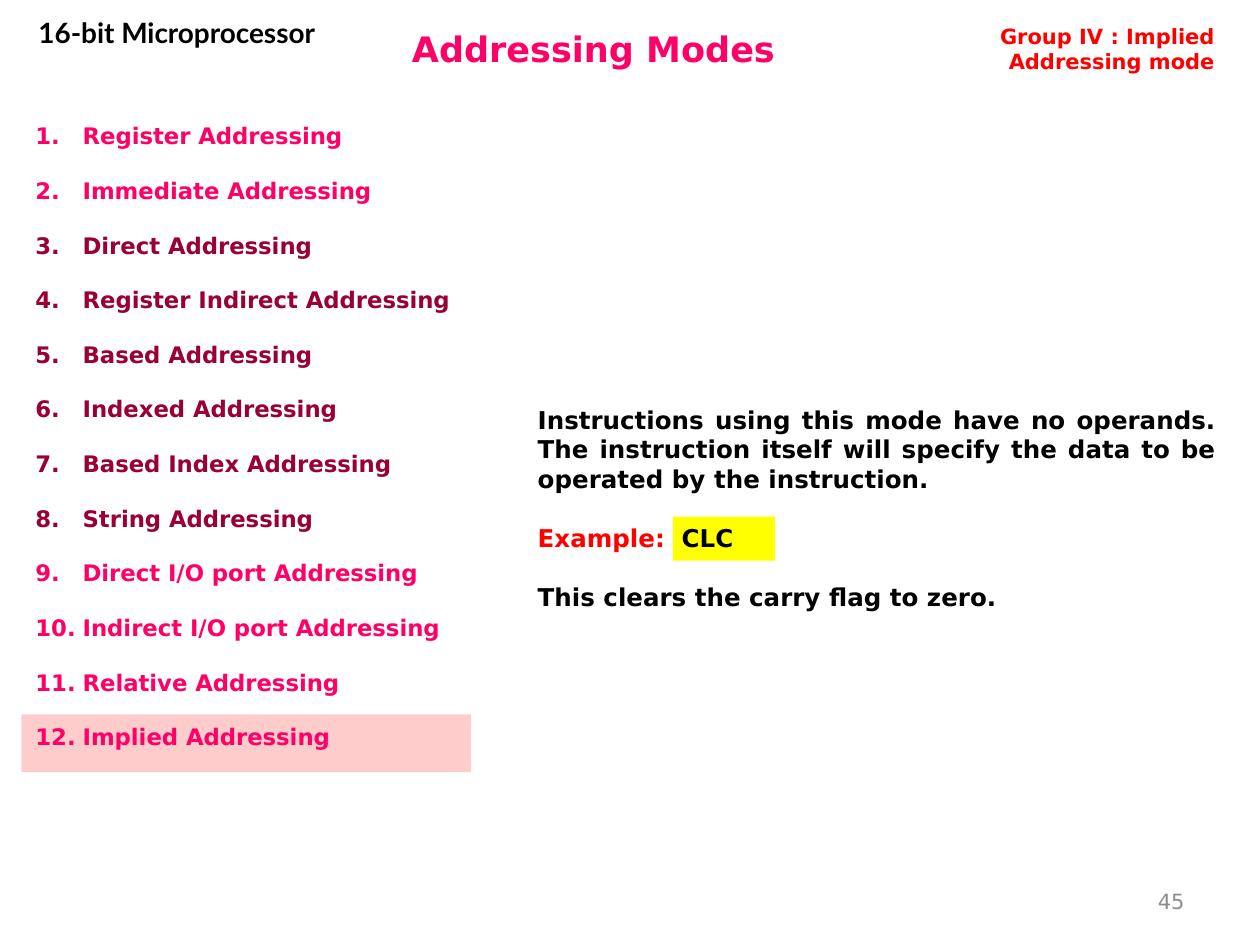
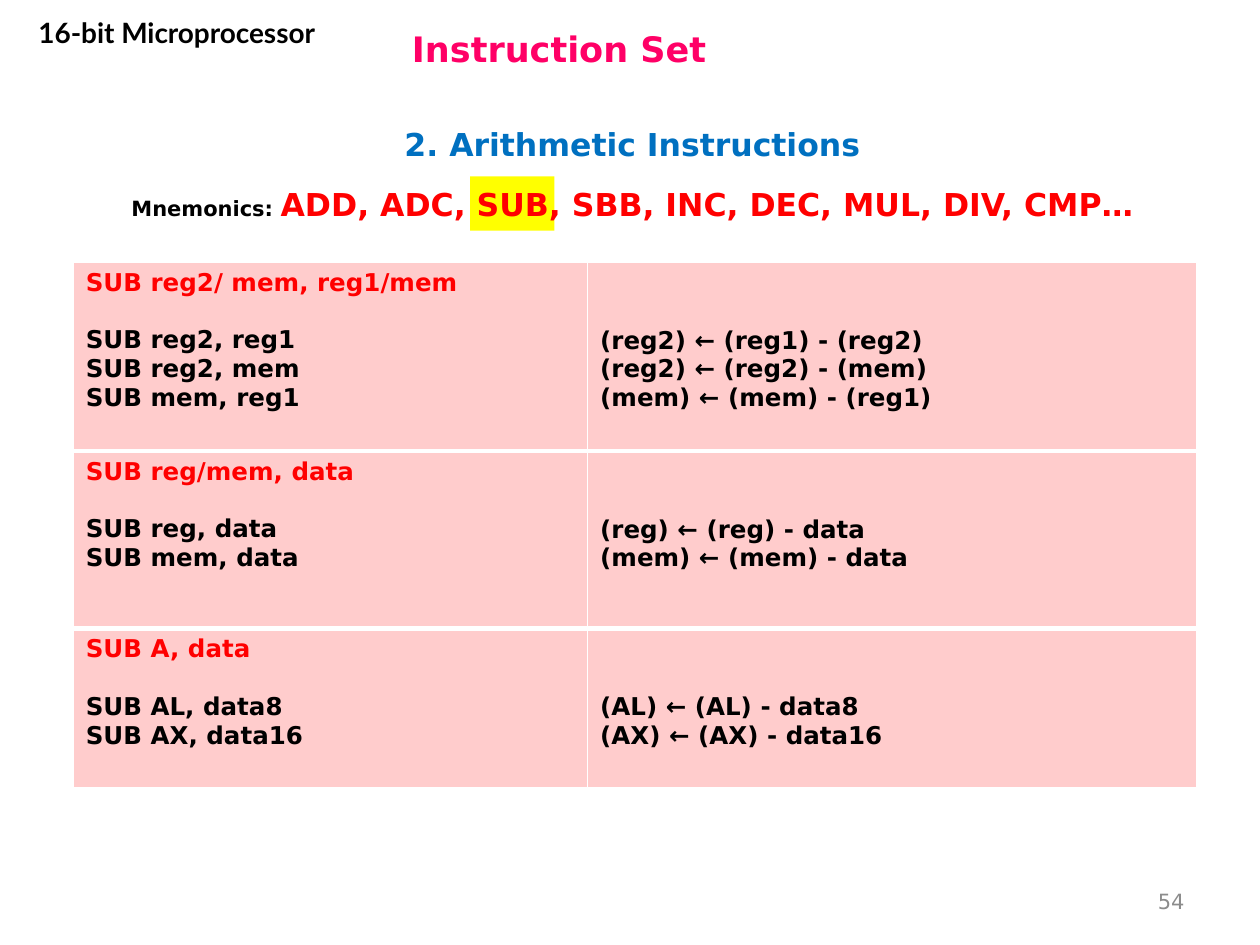
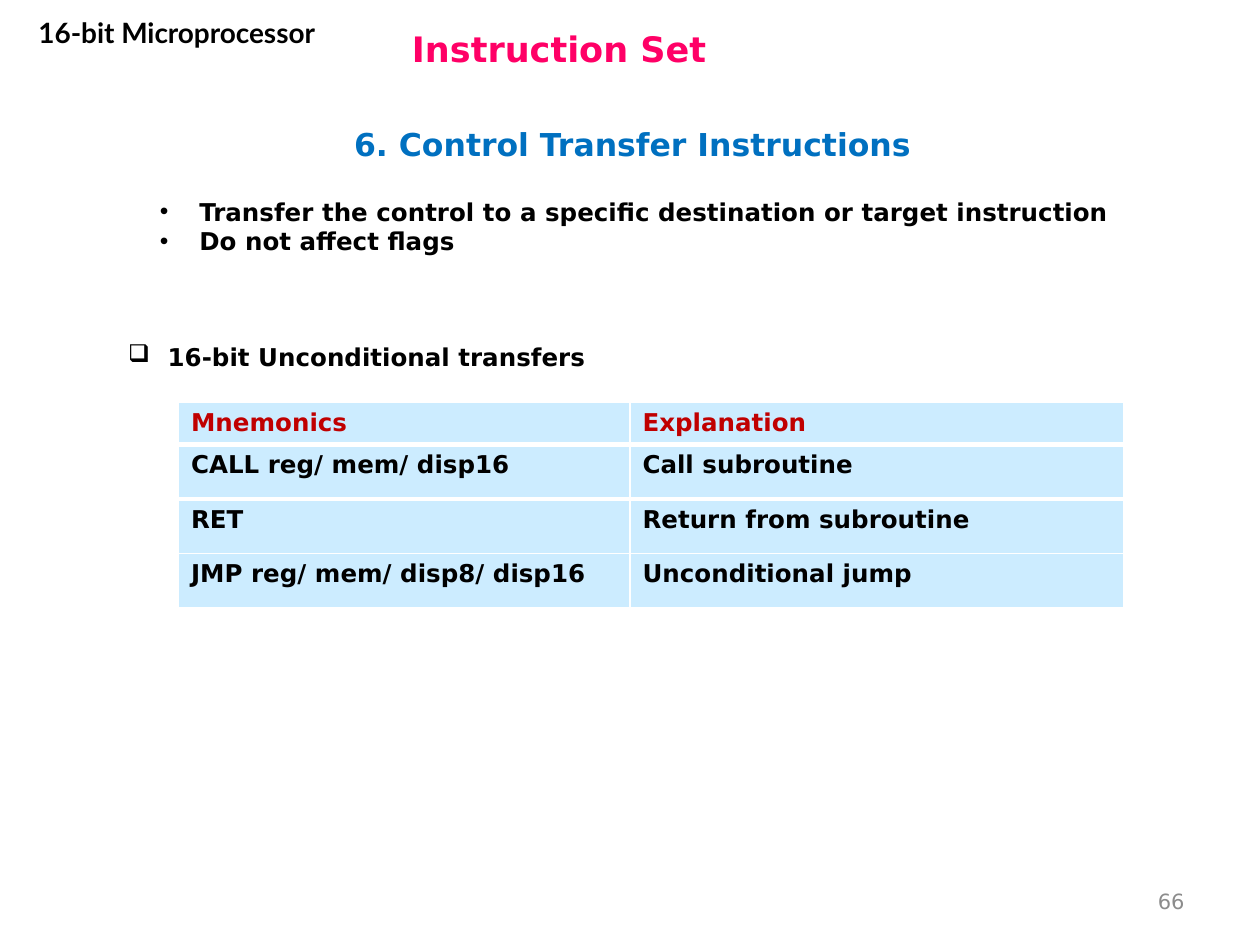
from lxml.etree import SubElement
from pptx import Presentation
from pptx.dml.color import RGBColor
from pptx.enum.shapes import MSO_SHAPE
from pptx.enum.text import MSO_ANCHOR, MSO_AUTO_SIZE, PP_ALIGN
from pptx.oxml.ns import qn
from pptx.util import Pt

FONT, HEADER_FONT = "DejaVu Sans", "Lato"
BLACK, WHITE, RED, PINK, MAROON = "000000", "FFFFFF", "FF0000", "FF0066", "990033"
BLUE, DARK_RED, GREY = "0070C0", "C00000", "8C8C8C"
YELLOW, ROSE, SKY = "FFFF00", "FFCCCC", "CCECFF"
TITLE_ONLY, TITLE_AND_BODY = 5, 1
LINE = 16.5  # height of one 14 pt line


def rgb(hex_color):
    return RGBColor.from_string(hex_color)


class Deck:
    def __init__(self):
        self.prs = Presentation()
        self.prs.slide_width, self.prs.slide_height = Pt(720), Pt(540)
        self.s = None

    def slide(self, layout, title, number):
        """Start a slide with the title, course name and page number."""
        self.s = self.prs.slides.add_slide(self.prs.slide_layouts[layout])
        tf = self.place(self.s.shapes.title, (228.2, 8.6, 473.8, 38.2), MSO_ANCHOR.MIDDLE)
        self.para(tf, [(title, PINK)], size=20)
        tf = self.box(5, 5.4, 192.2, 46)
        self.para(tf, [("16-bit Microprocessor", BLACK)], size=16,
                  align=PP_ALIGN.CENTER, font=HEADER_FONT)
        tf = self.box(516.2, 500.4, 167.8, 28.8, MSO_ANCHOR.MIDDLE)
        self.para(tf, [(number, GREY)], size=12, align=PP_ALIGN.RIGHT, bold=False)

    def place(self, sp, at, anchor=MSO_ANCHOR.TOP):
        sp.left, sp.top, sp.width, sp.height = map(Pt, at)
        tf = sp.text_frame
        tf.word_wrap = True
        tf.auto_size = MSO_AUTO_SIZE.NONE
        tf.vertical_anchor = anchor
        return tf

    def body(self, *at):
        return self.place(self.s.placeholders[1], at)

    def box(self, x, y, w, h, anchor=MSO_ANCHOR.TOP):
        sp = self.s.shapes.add_textbox(Pt(x), Pt(y), Pt(w), Pt(h))
        return self.place(sp, (x, y, w, h), anchor)

    def para(self, tf, runs, size=14, align=PP_ALIGN.LEFT, before=0, bold=True,
             font=FONT, bullet=None, indent=0, tab=None):
        """Add a paragraph; an integer bullet is a list number."""
        p = tf.paragraphs[0]
        if p.runs:
            p = tf.add_paragraph()
        pPr = p._p.get_or_add_pPr()
        if bullet:
            pPr.set("marL", str(Pt(indent)))
            pPr.set("indent", str(-Pt(indent)))
            if isinstance(bullet, int):
                SubElement(pPr, qn("a:buAutoNum"), type="arabicPeriod", startAt=str(bullet))
            else:
                SubElement(pPr, qn("a:buChar"), char=bullet)
        if tab:
            tabs = SubElement(pPr, qn("a:tabLst"))
            SubElement(tabs, qn("a:tab"), pos=str(Pt(tab)), algn="l")
        p.alignment = align
        p.space_before = Pt(before)
        for text, color, *own_size in runs:
            r = p.add_run()
            r.text = text
            r.font.name, r.font.bold = font, bold
            r.font.size = Pt(own_size[0] if own_size else size)
            r.font.color.rgb = rgb(color)

    def heading(self, text):
        tf = self.box(20.9, 67, 681.1, 31, MSO_ANCHOR.MIDDLE)
        self.para(tf, [(text, BLUE)], size=18, align=PP_ALIGN.CENTER)

    def highlight(self, x, y, w, h, color):
        """Put a plain rectangle behind everything else."""
        sp = self.s.shapes.add_shape(MSO_SHAPE.RECTANGLE, Pt(x), Pt(y), Pt(w), Pt(h))
        sp.shadow.inherit = False
        sp.fill.solid()
        sp.fill.fore_color.rgb = rgb(color)
        sp.line.fill.background()
        self.s.shapes.element.insert(2, sp.element)

    def border(self, cell, side, width):
        ln = SubElement(cell._tc.get_or_add_tcPr(), qn(f"a:{side}"), w=str(Pt(width)))
        SubElement(SubElement(ln, qn("a:solidFill")), qn("a:srgbClr"), val=WHITE)

    def table(self, x, y, widths, heights, fill):
        """Add a table; its style draws thin white borders."""
        table = self.s.shapes.add_table(len(heights), len(widths), Pt(x), Pt(y),
                                        Pt(sum(widths)), Pt(sum(heights))).table
        table.horz_banding = False
        for column, width in zip(table.columns, widths):
            column.width = Pt(width)
        for row, height in zip(table.rows, heights):
            row.height = Pt(height)
        # Thick line under the first row
        for j in range(len(widths)):
            self.border(table.cell(0, j), "lnB", 3)
            self.border(table.cell(1, j), "lnT", 3)
        for cell in table.iter_cells():
            cell.fill.solid()
            cell.fill.fore_color.rgb = rgb(fill)
        return table


def addressing_modes(d):
    d.slide(TITLE_AND_BODY, "Addressing Modes", "45")
    d.highlight(384.5, 295.2, 58.3, 25.2, YELLOW)
    d.highlight(12.2, 408.2, 257, 33.1, ROSE)

    # Numbered modes, coloured by group
    modes = [("Register", PINK), ("Immediate", PINK), ("Direct", MAROON),
             ("Register Indirect", MAROON), ("Based", MAROON), ("Indexed", MAROON),
             ("Based Index", MAROON), ("String", MAROON), ("Direct I/O port", PINK),
             ("Indirect I/O port", PINK), ("Relative", PINK), ("Implied", PINK)]
    tf = d.body(13, 66.2, 257, 369.4)
    for number, (mode, color) in enumerate(modes, 1):
        d.para(tf, [(f"{mode} Addressing", color)], size=13, bullet=number, indent=27,
               before=15.6 if number > 1 else 0)

    # Explanation and example
    tf = d.box(300.2, 227.8, 401.8, 130)
    d.para(tf, [("Instructions using this mode have no operands. The instruction itself "
                 "will specify the data to be operated by the instruction.", BLACK)],
           align=PP_ALIGN.JUSTIFY)
    d.para(tf, [("Example:\t", RED), ("CLC", BLACK)], before=17, tab=82.3)
    d.para(tf, [("This clears the carry flag to zero.", BLACK)], before=17)

    # Group label
    tf = d.box(521.3, 10.1, 180, 36)
    d.para(tf, [("Group IV : Implied Addressing mode", RED)], size=12, align=PP_ALIGN.RIGHT)


def arithmetic_instructions(d):
    d.slide(TITLE_ONLY, "Instruction Set", "54")
    d.highlight(268.6, 100.8, 48.2, 31, YELLOW)
    d.heading("2. Arithmetic Instructions")
    tf = d.box(20.9, 102.2, 681.1, 28.8)
    d.para(tf, [("Mnemonics: ", BLACK, 12),
                ("ADD, ADC, SUB, SBB, INC, DEC, MUL, DIV, CMP…", RED)],
           size=18, align=PP_ALIGN.CENTER)

    # Forms of SUB: general form, then each variant with its effect
    forms = [
        ("SUB reg2/ mem, reg1/mem",
         [("SUB reg2, reg1", "(reg2) ← (reg1) - (reg2)"),
          ("SUB reg2, mem", "(reg2) ← (reg2) - (mem)"),
          ("SUB mem, reg1", "(mem) ← (mem) - (reg1)")]),
        ("SUB reg/mem, data",
         [("SUB reg, data", "(reg) ← (reg) - data"),
          ("SUB mem, data", "(mem) ← (mem) - data")]),
        ("SUB A, data",
         [("SUB AL, data8", "(AL) ← (AL) - data8"),
          ("SUB AX, data16", "(AX) ← (AX) - data16")]),
    ]
    table = d.table(41.8, 149.8, [294, 348], [108, 101.5, 90.7], ROSE)
    for row, (form, variants) in enumerate(forms):
        syntax, effect = table.cell(row, 0), table.cell(row, 1)
        effect.margin_top = Pt(3.6 + 2 * LINE)
        d.para(syntax.text_frame, [(form, RED)])
        for i, (code, result) in enumerate(variants):
            d.para(syntax.text_frame, [(code, BLACK)], before=0 if i else LINE)
            d.para(effect.text_frame, [(result, BLACK)])


def control_transfer(d):
    d.slide(TITLE_AND_BODY, "Instruction Set", "66")
    d.heading("6. Control Transfer Instructions")
    tf = d.body(84.2, 108.7, 563.8, 41)
    for text in ("Transfer the control to a specific destination or target instruction",
                 "Do not affect flags"):
        d.para(tf, [(text, BLACK)], bullet="•", indent=22.5)
    tf = d.box(66.2, 192.2, 320, 24.5)
    d.para(tf, [("16-bit Unconditional transfers", BLACK)], bullet="❑", indent=22.5)

    # Unconditional transfers
    rows = [("Mnemonics", "Explanation"),
            ("CALL reg/ mem/ disp16", "Call subroutine"),
            ("RET", "Return from subroutine"),
            ("JMP reg/ mem/ disp8/ disp16", "Unconditional jump")]
    table = d.table(102, 230, [258, 282], [24] + [31.2] * 3, SKY)
    for i, row in enumerate(rows):
        for j, text in enumerate(row):
            d.para(table.cell(i, j).text_frame, [(text, BLACK if i else DARK_RED)])


def main():
    d = Deck()
    addressing_modes(d)
    arithmetic_instructions(d)
    control_transfer(d)
    d.prs.save("out.pptx")


if __name__ == "__main__":
    main()
